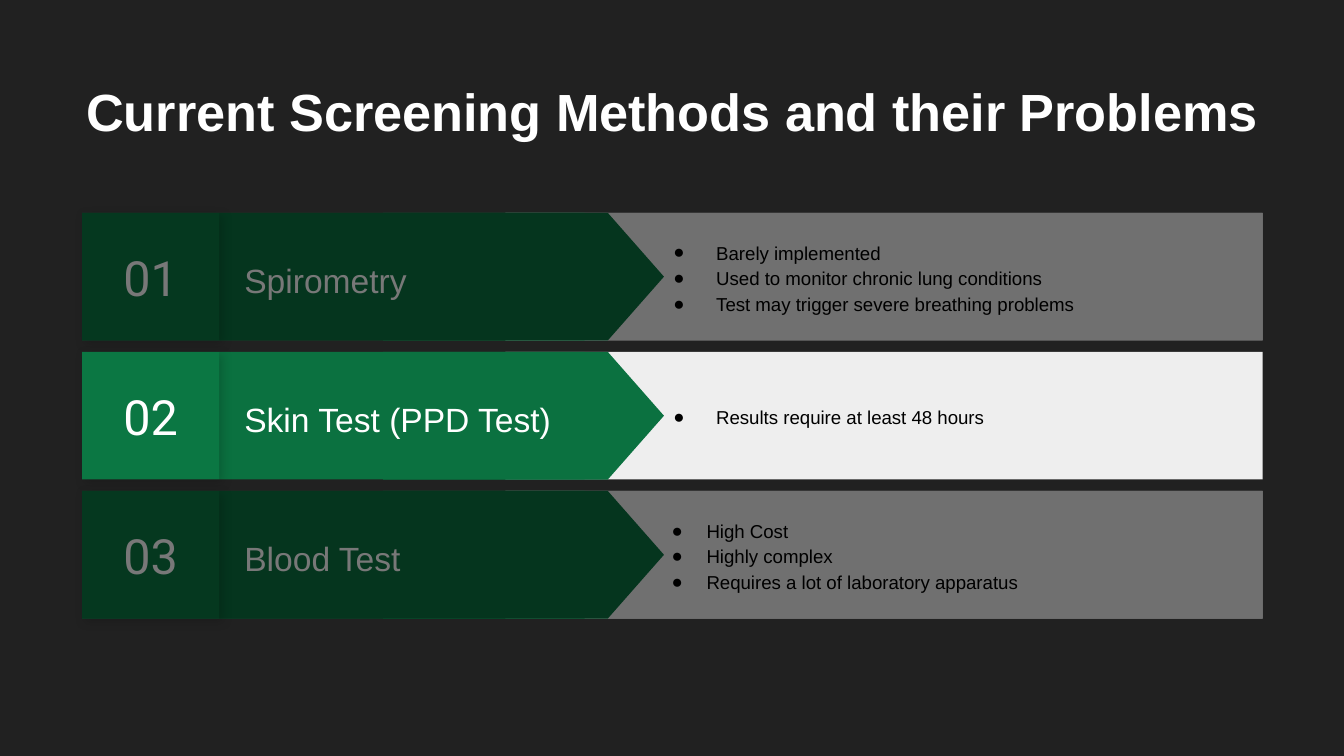
from dataclasses import dataclass

from lxml.etree import SubElement
from pptx import Presentation
from pptx.dml.color import RGBColor
from pptx.enum.shapes import MSO_SHAPE as Preset
from pptx.enum.text import MSO_ANCHOR as Anchor, PP_ALIGN as Align
from pptx.oxml.ns import qn
from pptx.util import Pt

BACKGROUND, PANEL, BAND, NUMBER = "212121", "EEEEEE", "0B7140", "0B7743"
WHITE, BLACK = "FFFFFF", "000000"
LEFT, TOP, HEIGHT, PITCH = 44, 114, 68.4, 74.5
NUMBER_WIDTH, BAND_WIDTH, ARROW_LENGTH = 73.4, 195.8, 150.5
FULL_WIDTH, PANEL_LEFT, ARROW_TIP = 632.5, 270.7, 355.7


@dataclass
class Box:
    left: float
    top: float
    width: float
    height: float


@dataclass
class Method:
    name: str
    problems: list[str]
    bullets_left: float = 340.6
    bullets_width: float = 315.4
    margin: float = 36
    hanging: float = 23
    align: Align = Align.LEFT
    dimmed: bool = True


METHODS = [
    Method("Spirometry", ["Barely implemented", "Used to monitor chronic lung conditions",
                          "Test may trigger severe breathing problems"]),
    Method("Skin Test (PPD Test)", ["Results require at least 48 hours"],
           bullets_width=327, align=Align.JUSTIFY, dimmed=False),
    Method("Blood Test", ["High Cost", "Highly complex",
                          "Requires a lot of laboratory apparatus"],
           bullets_left=344, margin=27.4, hanging=18.7, align=Align.JUSTIFY),
]


def color(value: str) -> RGBColor:
    return RGBColor.from_string(value)


def place(box: Box) -> list[Pt]:
    return [Pt(length) for length in (box.left, box.top, box.width, box.height)]


def add_block(shapes, box: Box, fill: str, preset=Preset.RECTANGLE):
    shape = shapes.add_shape(preset, *place(box))
    shape.shadow.inherit = False
    shape.fill.solid()
    shape.fill.fore_color.rgb = color(fill)
    shape.line.fill.background()
    return shape


def write(shape, lines: list[str], size: float, text_color: str = WHITE, font: str = "Arial",
          bold: bool = False, anchor=Anchor.MIDDLE, align=Align.LEFT, spacing: float = 1.0):
    frame = shape.text_frame
    margins = {f"margin_{side}": Pt(7.2) for side in ("left", "top", "right", "bottom")}
    for name, value in {"word_wrap": True, "vertical_anchor": anchor, **margins}.items():
        setattr(frame, name, value)
    for index, line in enumerate(lines):
        paragraph = frame.add_paragraph() if index else frame.paragraphs[0]
        paragraph.alignment = align
        paragraph.line_spacing = spacing
        run = paragraph.add_run()
        run.text = line
        for name, value in {"size": Pt(size), "name": font, "bold": bold}.items():
            setattr(run.font, name, value)
        run.font.color.rgb = color(text_color)


def add_text(shapes, box: Box, lines: list[str], size: float, **formats):
    shape = shapes.add_textbox(*place(box))
    write(shape, lines, size, **formats)
    return shape


def add_bullets(shape, margin: float, hanging: float):
    for paragraph in shape.text_frame.paragraphs:
        properties = paragraph._p.get_or_add_pPr()
        properties.set("marL", str(Pt(margin)))
        properties.set("indent", str(-Pt(hanging)))
        bullet_color = SubElement(properties, qn("a:buClr"))
        SubElement(bullet_color, qn("a:srgbClr"), val=BLACK)
        SubElement(properties, qn("a:buFont"), typeface="Arial")
        SubElement(properties, qn("a:buChar"), char="●")


def add_shadow(shape):
    effects = shape._element.spPr.find(qn("a:effectLst"))
    shadow = SubElement(effects, qn("a:outerShdw"), blurRad=str(Pt(5.6)), dist=str(Pt(2.2)),
                        dir=str(45 * 60000), algn="tl", rotWithShape="0")
    shade = SubElement(shadow, qn("a:srgbClr"), val=BLACK)
    SubElement(shade, qn("a:alpha"), val="17000")


def add_method(slide, number: int, method: Method, top: float):
    shapes = slide.shapes.add_group_shape().shapes
    band_left = LEFT + NUMBER_WIDTH
    add_block(shapes, Box(PANEL_LEFT, top, LEFT + FULL_WIDTH - PANEL_LEFT, HEIGHT), PANEL)
    add_block(shapes, Box(band_left, top, BAND_WIDTH, HEIGHT), BAND)

    # The arrow is upright before its quarter turn, so its box is centred on the row.
    arrow_left = ARROW_TIP - (ARROW_LENGTH + HEIGHT) / 2
    arrow_top = top + (HEIGHT - ARROW_LENGTH) / 2
    arrow = add_block(shapes, Box(arrow_left, arrow_top, HEIGHT, ARROW_LENGTH), BAND,
                      Preset.FLOWCHART_OFFPAGE_CONNECTOR)
    arrow.rotation = 270

    add_text(shapes, Box(123.8, top + 8, 206, 52.4), [method.name], 18, spacing=1.15)
    number_box = add_block(shapes, Box(LEFT, top, NUMBER_WIDTH, HEIGHT), NUMBER)
    add_shadow(number_box)
    write(number_box, [f"{number:02}"], 26, font="Roboto", align=Align.CENTER)
    bullets = add_text(shapes, Box(method.bullets_left, top, method.bullets_width, HEIGHT),
                       method.problems, 10, text_color=BLACK, align=method.align, spacing=1.15)
    add_bullets(bullets, method.margin, method.hanging)


def add_dimmer(slide, top: float):
    dimmer = add_block(slide.shapes, Box(LEFT, top, FULL_WIDTH, HEIGHT), BLACK)
    fill_color = dimmer._element.spPr.find(qn("a:solidFill"))[0]
    SubElement(fill_color, qn("a:alpha"), val="53000")


def main():
    presentation = Presentation()
    presentation.slide_width, presentation.slide_height = Pt(720), Pt(405)
    slide = presentation.slides.add_slide(presentation.slide_layouts[6])
    slide.background.fill.solid()
    slide.background.fill.fore_color.rgb = color(BACKGROUND)

    tops = [TOP + PITCH * index for index in range(len(METHODS))]
    for number, (method, top) in enumerate(zip(METHODS, tops), start=1):
        add_method(slide, number, method, top)
    add_text(slide.shapes, Box(24.5, 35.3, 671, 45.4),
             ["Current Screening Methods and their Problems"], 28,
             bold=True, anchor=Anchor.TOP, align=Align.CENTER)
    for method, top in zip(METHODS, tops):
        if method.dimmed:
            add_dimmer(slide, top)
    presentation.save("out.pptx")


if __name__ == "__main__":
    main()
